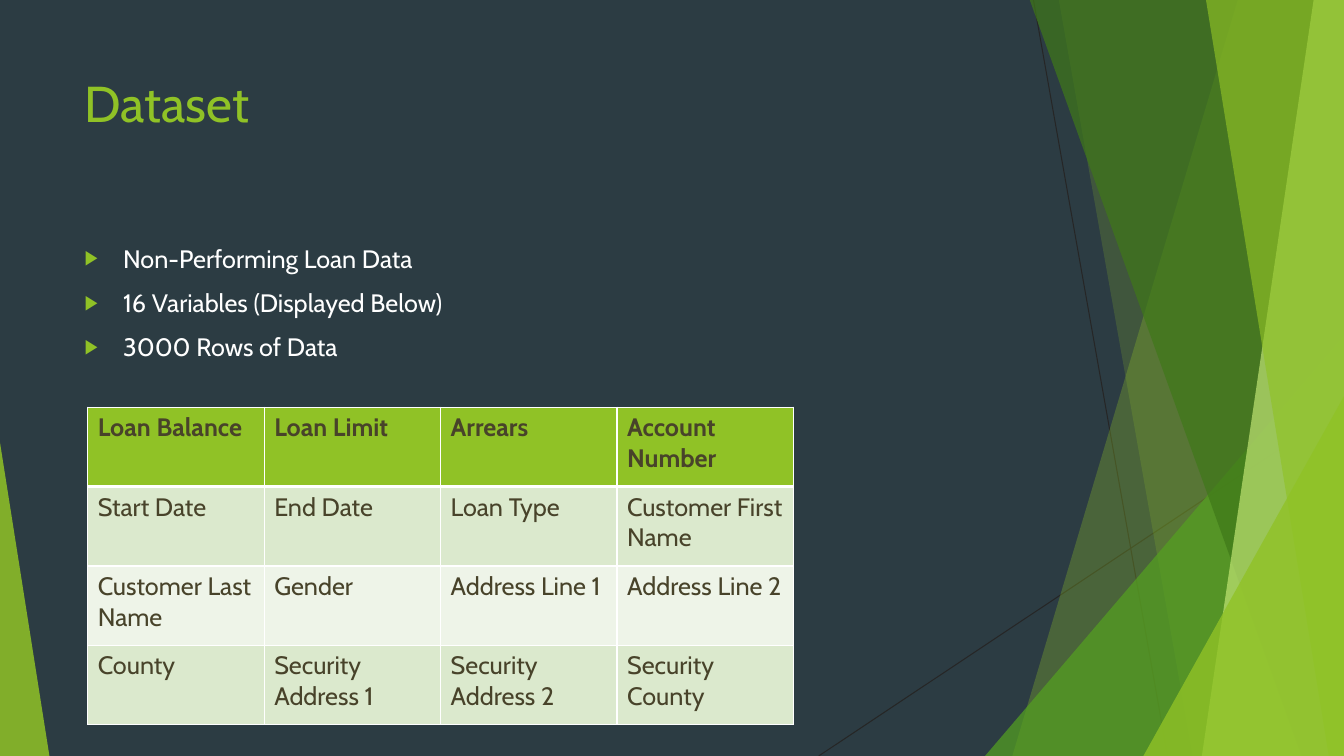
import pptx
import pptx.dml.color
import pptx.enum.shapes
import pptx.enum.text
import pptx.oxml
import pptx.oxml.ns
import pptx.util

Inches = pptx.util.Inches
Pt = pptx.util.Pt

COLORS = {
    "background": "2C3C43",
    "green": "90C226",
    "leaf": "54A021",
    "forest": "3F7819",
    "lime": "C0E474",
    "hairline": "262626",
    "white": "FFFFFF",
    "cell_text": "48432A",
    "band_dark": "DBE9CD",
    "band_light": "EEF4E8",
}
FORMATS = {
    "title": {"name": "Cabin", "size": Pt(36), "bold": False},
    "body": {"name": "Cabin", "size": Pt(18), "bold": False},
    "header": {"name": "Cabin", "size": Pt(18), "bold": True},
}
FRAME = {
    "word_wrap": True,
    "auto_size": pptx.enum.text.MSO_AUTO_SIZE.NONE,
    "vertical_anchor": pptx.enum.text.MSO_ANCHOR.TOP,
}
RIGHT, TOP, BOTTOM = 13.33, -0.01, 7.5


def set_attributes(target, values):
    for name, value in values.items():
        setattr(target, name, value)


def add_xml(parent, tag, content="", **attributes):
    element = pptx.oxml.parse_xml(
        f'<a:{tag} {pptx.oxml.ns.nsdecls("a")}>{content}</a:{tag}>'
    )
    for name, value in attributes.items():
        element.set(name, str(value))
    parent.append(element)


class SlideBuilder:
    def __init__(self, presentation):
        self.slide = presentation.slides.add_slide(presentation.slide_layouts[1])
        self.shapes = self.slide.shapes
        self.paint(self.slide.background.fill, "background")

    def paint(self, fill, color):
        fill.solid()
        fill.fore_color.rgb = pptx.dml.color.RGBColor.from_string(COLORS[color])

    def add_text(self, paragraph, text, style, color):
        paragraph.alignment = pptx.enum.text.PP_ALIGN.LEFT
        run = paragraph.add_run()
        run.text = text
        set_attributes(run.font, FORMATS[style])
        self.paint(run.font.fill, color)

    def line(self, *ends):
        connector = self.shapes.add_connector(
            pptx.enum.shapes.MSO_CONNECTOR.STRAIGHT, *map(Inches, ends)
        )
        connector.line.width = Pt(0.75)
        self.paint(connector.line.fill, "hairline")
        add_xml(connector.element.spPr, "effectLst")

    def finish(self, shape, color, opacity):
        shape.shadow.inherit = False
        shape.line.fill.background()
        self.paint(shape.fill, color)
        fill_color = shape.element.spPr.find(".//" + pptx.oxml.ns.qn("a:srgbClr"))
        add_xml(fill_color, "alpha", val=opacity * 1000)

    def panel(self, top_left, bottom_left, color, opacity):
        corners = [(RIGHT, TOP), (RIGHT, BOTTOM), (bottom_left, BOTTOM)]
        builder = self.shapes.build_freeform(Inches(top_left), Inches(TOP))
        builder.add_line_segments([(Inches(x), Inches(y)) for x, y in corners])
        self.finish(builder.convert_to_shape(), color, opacity)

    def triangle(self, left, top, right, apex, color, opacity):
        shape = self.shapes.add_shape(
            pptx.enum.shapes.MSO_SHAPE.ISOSCELES_TRIANGLE,
            *map(Inches, (left, top, right - left, BOTTOM - top)),
        )
        shape.adjustments[0] = apex
        self.finish(shape, color, opacity)

    def place(self, placeholder, *box):
        names = ("left", "top", "width", "height")
        set_attributes(placeholder, dict(zip(names, map(Inches, box))))
        set_attributes(placeholder.text_frame, FRAME)
        self.shapes.element.append(placeholder.element)
        return placeholder.text_frame

    def title(self, text, *box):
        frame = self.place(self.shapes.title, *box)
        self.add_text(frame.paragraphs[0], text, "title", "green")

    def bullets(self, items, *box):
        frame = self.place(self.slide.placeholders[1], *box)
        for index, item in enumerate(items):
            paragraph = frame.add_paragraph() if index else frame.paragraphs[0]
            self.add_text(paragraph, item, "body", "white")
            paragraph.space_before = Pt(10)
            properties = paragraph._p.get_or_add_pPr()
            properties.set("marL", str(Inches(0.38)))
            properties.set("indent", str(Inches(-0.38)))
            add_xml(properties, "buClr", f'<a:srgbClr val="{COLORS["green"]}"/>')
            add_xml(properties, "buSzPct", val=80000)
            add_xml(properties, "buChar", char="▶")

    def border(self, cell, side, points):
        color = f'<a:solidFill><a:srgbClr val="{COLORS["white"]}"/></a:solidFill>'
        add_xml(cell._tc.get_or_add_tcPr(), f"ln{side}", color, w=Pt(points))

    def table(self, rows, *box):
        table = self.shapes.add_table(
            len(rows), len(rows[0]), *map(Inches, box)
        ).table
        for row_index, row in enumerate(rows):
            header = row_index == 0
            style = "header" if header else "body"
            band = "band_dark" if row_index % 2 else "band_light"
            for column_index, text in enumerate(row):
                cell = table.cell(row_index, column_index)
                self.add_text(cell.text_frame.paragraphs[0], text, style, "cell_text")
                self.border(cell, "L", 1)
                self.border(cell, "R", 1)
                self.border(cell, "T", 3 if row_index == 1 else 1)
                self.border(cell, "B", 3 if header else 1)
                self.paint(cell.fill, "green" if header else band)


def main():
    presentation = pptx.Presentation()
    presentation.slide_width = Inches(13.33)
    presentation.slide_height = Inches(7.5)
    builder = SlideBuilder(presentation)

    builder.line(10.25, 0, 11.58, 7.5)
    builder.line(13.33, 4.03, 8.12, 7.5)
    builder.panel(12.28, 10.04, "green", 30)
    builder.panel(10.5, 11.83, "green", 20)
    builder.triangle(9.77, 3.33, RIGHT, 1, "leaf", 72)
    builder.panel(10.21, 12.91, "forest", 70)
    builder.panel(13.03, 11.92, "lime", 70)
    builder.panel(11.96, 13.18, "green", 65)
    builder.triangle(11.34, 3.93, RIGHT, 1, "green", 80)
    builder.triangle(0, 4.39, 0.49, 0, "green", 85)

    builder.title("Dataset", 0.74, 0.67, 9.4, 1.44)
    builder.bullets(
        ["Non-Performing Loan Data", "16 Variables (Displayed Below)", "3000 Rows of Data"],
        0.74, 2.36, 9.4, 4.24,
    )
    builder.table(
        [
            ["Loan Balance", "Loan Limit", "Arrears", "Account Number"],
            ["Start Date", "End Date", "Loan Type", "Customer First Name"],
            ["Customer Last Name", "Gender", "Address Line 1", "Address Line 2"],
            ["County", "Security Address 1", "Security Address 2", "Security County"],
        ],
        0.87, 4.04, 7, 3.15,
    )
    presentation.save("out.pptx")


if __name__ == "__main__":
    main()
